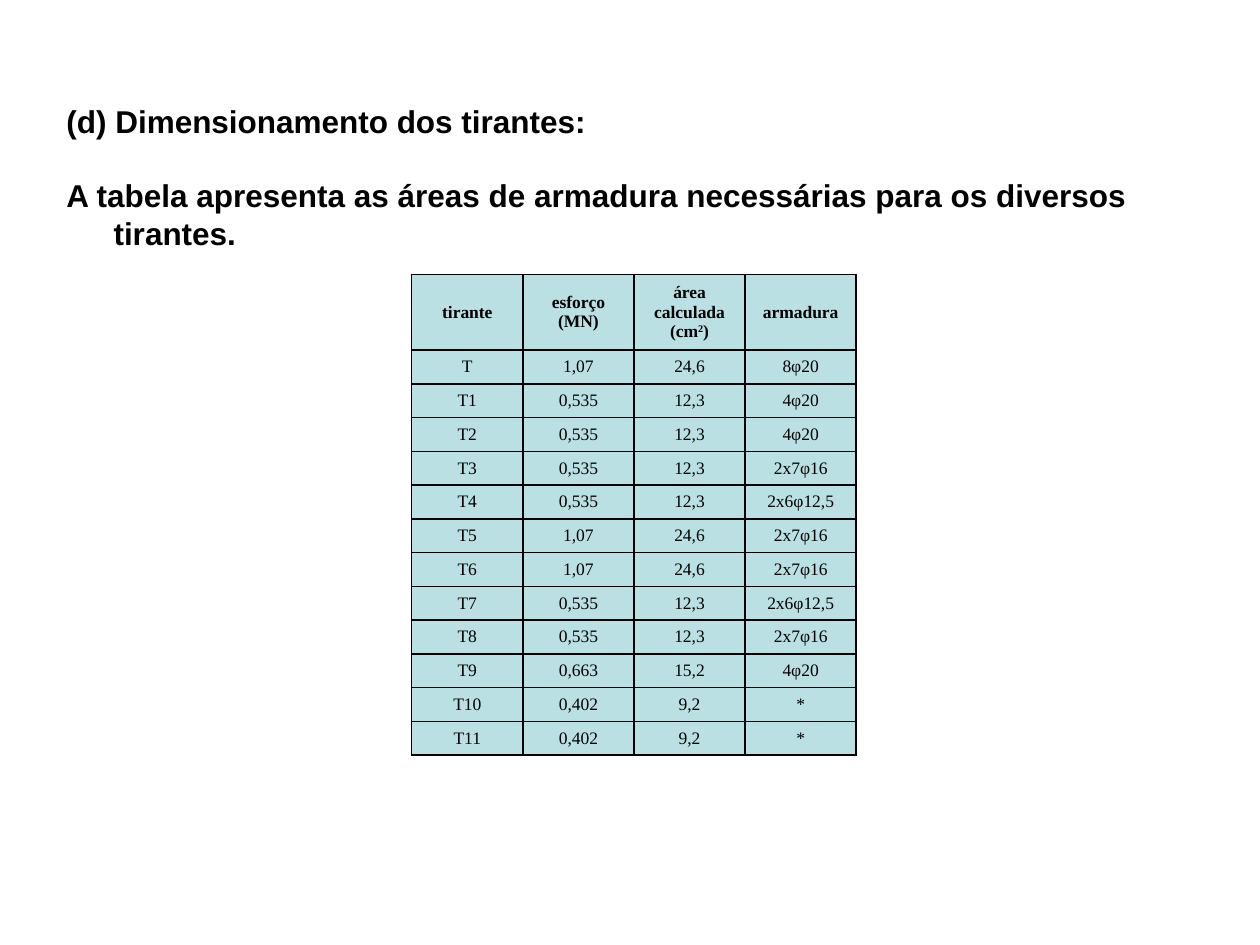
from pptx import Presentation
from pptx.dml.color import RGBColor
from pptx.enum.text import MSO_ANCHOR, PP_ALIGN
from pptx.oxml import parse_xml
from pptx.oxml.ns import nsdecls
from pptx.util import Cm, Pt

BLACK = RGBColor(0x00, 0x00, 0x00)
PALE_TEAL = RGBColor(0xBB, 0xE0, 0xE3)
CENTER = PP_ALIGN.CENTER
MIDDLE = MSO_ANCHOR.MIDDLE

INTRO = [
    "(d) Dimensionamento dos tirantes:",
    "A tabela apresenta as áreas de armadura necessárias para os diversos tirantes.",
]
# A cell holds text, or a tuple whose second part is superscript.
HEADER = ("tirante", "esforço (MN)", ("área calculada (cm", "2", ")"), "armadura")
TIES = [
    ("T", "1,07", "24,6", "8φ20"),
    ("T1", "0,535", "12,3", "4φ20"),
    ("T2", "0,535", "12,3", "4φ20"),
    ("T3", "0,535", "12,3", "2x7φ16"),
    ("T4", "0,535", "12,3", "2x6φ12,5"),
    ("T5", "1,07", "24,6", "2x7φ16"),
    ("T6", "1,07", "24,6", "2x7φ16"),
    ("T7", "0,535", "12,3", "2x6φ12,5"),
    ("T8", "0,535", "12,3", "2x7φ16"),
    ("T9", "0,663", "15,2", "4φ20"),
    ("T10", "0,402", "9,2", "*"),
    ("T11", "0,402", "9,2", "*"),
]
COLUMN_WIDTH = Cm(2.24)
HEADER_HEIGHT = Cm(1.53)
ROW_HEIGHT = Cm(0.68)
LINE_SPACING = Pt(21.4)


def add_span(para, text, *, font, size, bold=False, superscript=False):
    span = para.add_run()
    span.text = text
    span.font.name = font
    span.font.size = Pt(size)
    span.font.bold = bold
    span.font.color.rgb = BLACK
    if superscript:
        span.font._element.set("baseline", "30000")


def add_intro(page):
    box = page.shapes.add_textbox(Cm(1.09), Cm(1.93), Cm(23.01), Cm(4.83))
    frame = box.text_frame
    frame.word_wrap = True
    for index, text in enumerate(INTRO):
        para = frame.paragraphs[0] if index == 0 else frame.add_paragraph()
        properties = para._p.get_or_add_pPr()
        properties.set("marL", str(Cm(0.95)))
        properties.set("indent", str(-Cm(0.95)))
        para.line_spacing = LINE_SPACING
        if index:
            para.space_before = LINE_SPACING
        add_span(para, text, font="Arial", size=18, bold=True)


def add_borders(cell):
    """Draw black lines on all sides, placed before the cell's fill."""
    properties = cell._tc.get_or_add_tcPr()
    for position, side in enumerate(("lnL", "lnR", "lnT", "lnB")):
        line = parse_xml(
            f'<a:{side} {nsdecls("a")} w="{Pt(1)}"><a:solidFill>'
            f'<a:srgbClr val="{BLACK}"/></a:solidFill></a:{side}>'
        )
        properties.insert(position, line)


def add_tie_table(page):
    rows = [HEADER, *TIES]
    columns = len(HEADER)
    height = HEADER_HEIGHT + ROW_HEIGHT * len(TIES)
    frame = page.shapes.add_table(
        len(rows), columns, Cm(8.3), Cm(5.53), COLUMN_WIDTH * columns, height
    )
    table = frame.table
    for column in table.columns:
        column.width = COLUMN_WIDTH
    for row_index, values in enumerate(rows):
        is_header = row_index == 0
        table.rows[row_index].height = HEADER_HEIGHT if is_header else ROW_HEIGHT
        for column_index, value in enumerate(values):
            cell = table.cell(row_index, column_index)
            cell.vertical_anchor = MIDDLE
            cell.fill.solid()
            cell.fill.fore_color.rgb = PALE_TEAL
            add_borders(cell)
            para = cell.text_frame.paragraphs[0]
            para.alignment = CENTER
            parts = (value,) if isinstance(value, str) else value
            for part_index, part in enumerate(parts):
                add_span(para, part, font="Times New Roman", size=10,
                         bold=is_header, superscript=part_index == 1)


def main():
    deck = Presentation()
    deck.slide_width = Cm(25.4)
    deck.slide_height = Cm(19.05)
    page = deck.slides.add_slide(deck.slide_layouts[6])
    add_intro(page)
    add_tie_table(page)
    deck.save("out.pptx")


if __name__ == "__main__":
    main()
